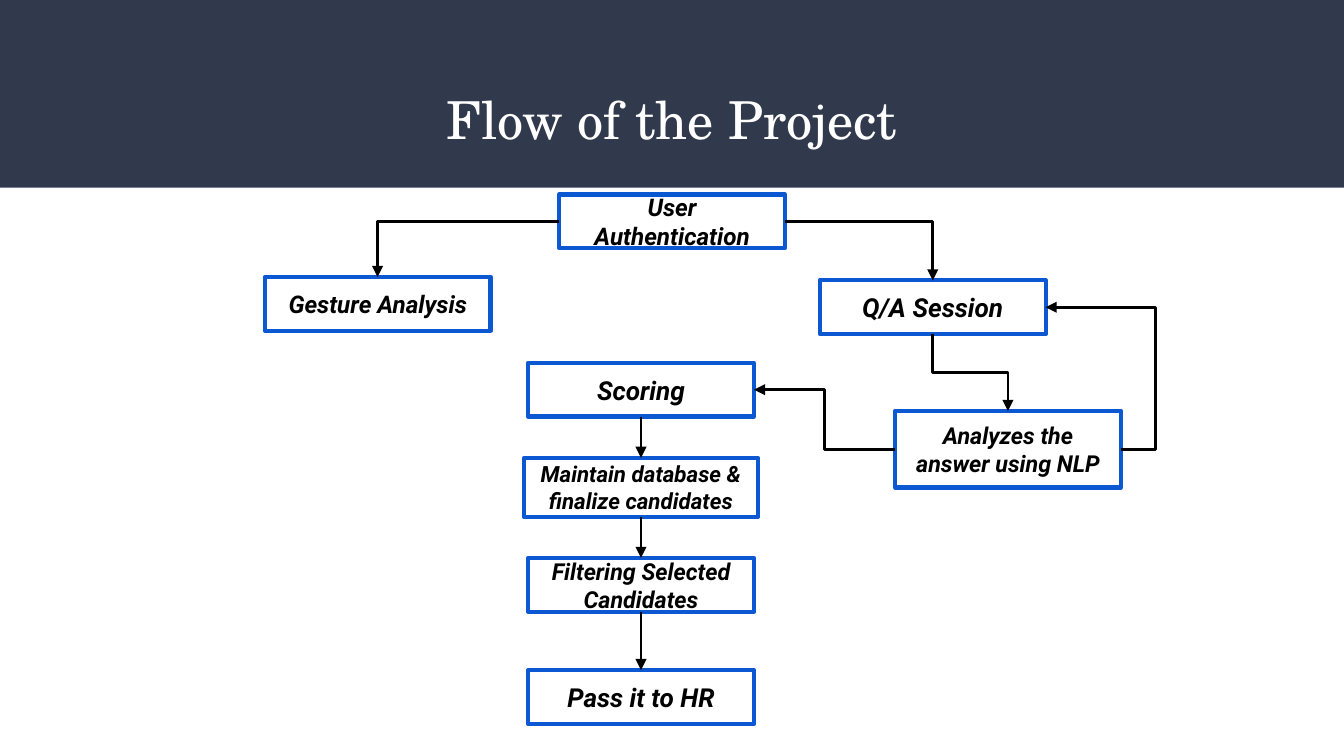
from lxml import etree
from pptx import Presentation
from pptx.dml.color import RGBColor
from pptx.enum.shapes import MSO_CONNECTOR, MSO_SHAPE
from pptx.enum.text import MSO_ANCHOR, PP_ALIGN
from pptx.oxml.ns import qn
from pptx.util import Pt

RECTANGLE = MSO_SHAPE.RECTANGLE
STRAIGHT, ELBOW = MSO_CONNECTOR.STRAIGHT, MSO_CONNECTOR.ELBOW
MIDDLE, CENTER = MSO_ANCHOR.MIDDLE, PP_ALIGN.CENTER
TOP, LEFT, BOTTOM, RIGHT = range(4)

# Content
TITLE = "Flow of the Project"

# key: (text, type size, centre x, top, width, height)
WIDTH, HEIGHT = 121, 28.8
SPINE = 343.4  # centre of the column from scoring to hand-over
STEPS = {
    "login": ("User Authentication", 13, 360, 104.2, WIDTH, HEIGHT),
    "gesture": ("Gesture Analysis", 13, 202.3, 148.4, WIDTH, HEIGHT),
    "session": ("Q/A Session", 14, 499.7, 150.2, WIDTH, HEIGHT),
    "analysis": ("Analyzes the answer using NLP", 12.5, 540, 220.2, WIDTH, 41),
    "scoring": ("Scoring", 14, SPINE, 194.4, WIDTH, HEIGHT),
    "database": ("Maintain database & finalize candidates", 12, SPINE, 245.3, 125.4, 31.6),
    "filter": ("Filtering Selected Candidates", 12.5, SPINE, 298.9, WIDTH, HEIGHT),
    "handover": ("Pass it to HR", 14, SPINE, 359, WIDTH, HEIGHT),
}

# (from, side, to, side, route, bend position)
FLOWS = [
    ("scoring", BOTTOM, "database", TOP, "straight", None),
    ("database", BOTTOM, "filter", TOP, "straight", None),
    ("filter", BOTTOM, "handover", TOP, "straight", None),
    ("analysis", RIGHT, "session", RIGHT, "across", -0.464),
    ("session", BOTTOM, "analysis", TOP, "down", 0.5),
    ("analysis", LEFT, "scoring", LEFT + 2, "across", 0.5),
    ("login", LEFT, "gesture", TOP, "corner", None),
    ("login", RIGHT, "session", TOP, "corner", None),
]

THEME = {
    "banner": RGBColor(0x31, 0x39, 0x4D),
    "title": RGBColor(0xFF, 0xFF, 0xFF),
    "border": RGBColor(0x0C, 0x58, 0xD3),
    "ink": RGBColor(0, 0, 0),
    "title_font": "TeX Gyre Schola",
    "body_font": "Roboto",
    "title_size": 28,
    "border_width": 2.25,
    "arrow_width": 1.5,
}


def write(shape, text, font_name, size, color, strong=False):
    frame = shape.text_frame
    frame.word_wrap = True
    frame.margin_left = frame.margin_right = Pt(7.2)
    frame.margin_top = frame.margin_bottom = Pt(7.2)
    para = frame.paragraphs[0]
    para.text = text
    para.alignment = CENTER
    para.font.name = font_name
    para.font.size = Pt(size)
    para.font.color.rgb = color
    para.font.bold = para.font.italic = strong


def add_step(page, text, size, center, top, width, height):
    box = page.shapes.add_shape(
        RECTANGLE, Pt(center - width / 2), Pt(top), Pt(width), Pt(height))
    box.shadow.inherit = False
    box.fill.background()
    box.line.color.rgb = THEME["border"]
    box.line.width = Pt(THEME["border_width"])
    box.text_frame.vertical_anchor = MIDDLE
    write(box, text, THEME["body_font"], size, THEME["ink"], strong=True)
    return box


def add_flow(page, start, start_side, end, end_side, route, bend):
    kind = STRAIGHT if route == "straight" else ELBOW
    arrow = page.shapes.add_connector(kind, 0, 0, 0, 0)
    arrow.begin_connect(start, start_side)
    arrow.end_connect(end, end_side)
    arrow.line.color.rgb = THEME["ink"]
    arrow.line.width = Pt(THEME["arrow_width"])
    properties = arrow._element.spPr
    etree.SubElement(properties.find(qn("a:ln")), qn("a:tailEnd"), type="triangle")
    etree.SubElement(properties, qn("a:effectLst"))

    geometry = properties.find(qn("a:prstGeom"))
    if route == "corner":
        geometry.set("prst", "bentConnector2")
    if bend is not None:
        guides = geometry.find(qn("a:avLst"))
        etree.SubElement(guides, qn("a:gd"), name="adj1",
                         fmla=f"val {round(bend * 100000)}")
    if route == "down":
        # Turn the elbow about its centre so that it leaves downwards
        width, height = arrow.width, arrow.height
        arrow.left += (width - height) // 2
        arrow.top += (height - width) // 2
        arrow.width, arrow.height = height, width
        turn = properties.find(qn("a:xfrm"))
        turn.set("rot", str(270 * 60000))
        turn.set("flipH", "1")


def main():
    deck = Presentation()
    deck.slide_width, deck.slide_height = Pt(720), Pt(405)
    page = deck.slides.add_slide(deck.slide_layouts[6])

    # Banner and title
    banner = page.shapes.add_shape(RECTANGLE, 0, 0, deck.slide_width, Pt(100.5))
    banner.shadow.inherit = False
    banner.fill.solid()
    banner.fill.fore_color.rgb = THEME["banner"]
    banner.line.fill.background()
    title = page.shapes.add_textbox(Pt(24.5), Pt(39.6), Pt(671), Pt(49))
    write(title, TITLE, THEME["title_font"], THEME["title_size"], THEME["title"])

    # Steps, then the arrows that join them
    boxes = {key: add_step(page, *step) for key, step in STEPS.items()}
    for start, start_side, end, end_side, route, bend in FLOWS:
        add_flow(page, boxes[start], start_side, boxes[end], end_side, route, bend)

    deck.save("out.pptx")


if __name__ == "__main__":
    main()
